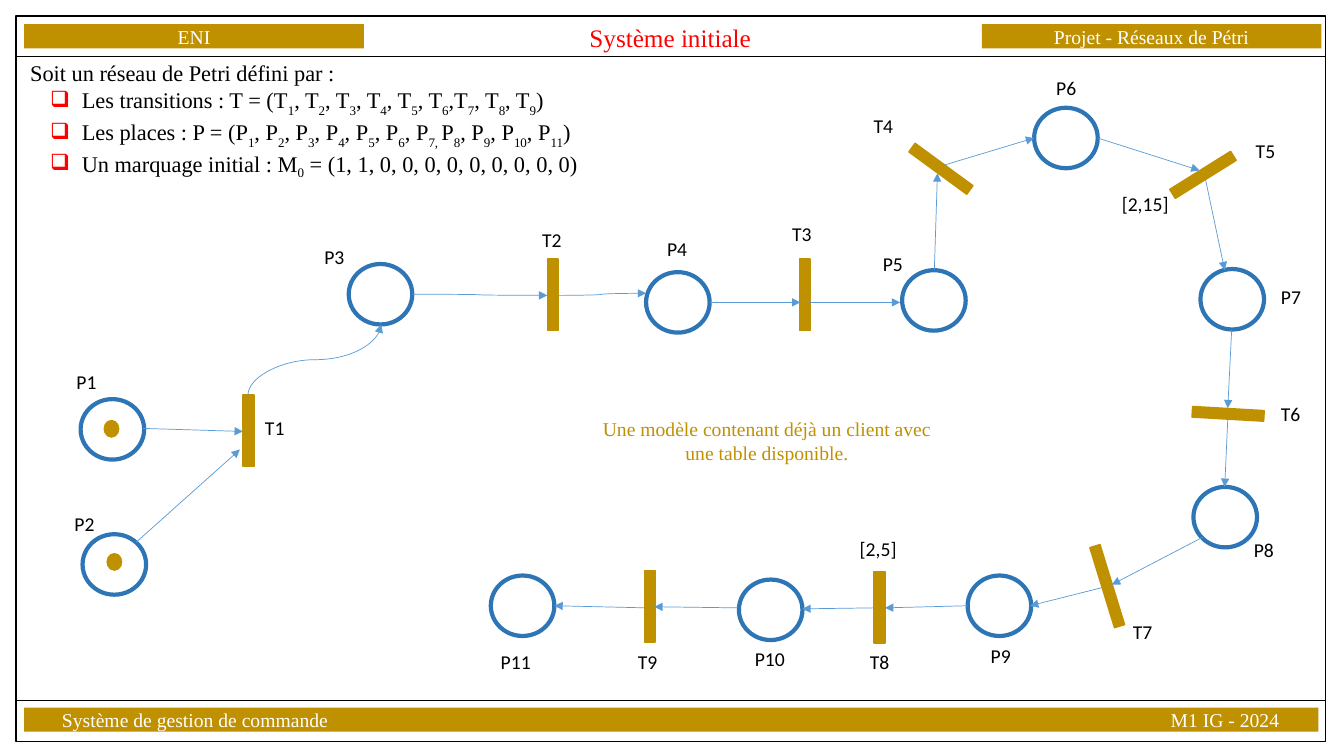
import pptx
import pptx.util
import pptx.dml.color
import pptx.enum.shapes
import pptx.enum.text
import pptx.oxml
import pptx.oxml.ns
from lxml import etree

Pt = pptx.util.Pt
SHAPE = pptx.enum.shapes.MSO_SHAPE
CONNECTOR = pptx.enum.shapes.MSO_CONNECTOR
ALIGN = pptx.enum.text.PP_ALIGN
ANCHOR = pptx.enum.text.MSO_ANCHOR
qn = pptx.oxml.ns.qn

THEME = {
    "gold": "BF9000", "ring": "2E75B6", "arrow": "5B9BD5", "red": "FF0000",
    "black": "000000", "white": "FFFFFF",
    "serif": "Times New Roman", "sans": "Calibri",
    "title": 18, "body": 16, "small": 14,
}

TITLE = "Système initiale"
INTRO = "Soit un réseau de Petri défini par :"
DEFINITIONS = [
    ("Les transitions : T = (T~1~, T~2~, T~3~, T~4~, T~5~, T~6~,T~7~, T~8~, T~9~)", -30000),
    ("Les places : P = (P~1~, P~2~, P~3~, P~4~, P~5~, P~6~, P~7, ~P~8~, P~9~, P~10~, P~11~)", -30000),
    ("Un marquage initial : M~0~ = (1, 1, 0, 0, 0, 0, 0, 0, 0, 0, 0)", -25000),
]
CAPTION = "Une modèle contenant déjà un client avec une table disponible."
HEADERS = [("ENI", 17.3), ("Projet - Réseaux de Pétri", 701.3)]
FOOTER = "Système de gestion de commande\tM1 IG - 2024"

PLACES = {
    "P1": ((57.6, 285.1), (47.5, 260.6)),
    "P2": ((59, 381.6), (46.1, 362.2)),
    "P3": ((249.1, 188.6), (224.6, 171.4)),
    "P4": ((461.5, 194.4), (469.4, 165.6)),
    "P5": ((644.4, 193), (623.5, 176.4)),
    "P6": ((738.7, 77), (747.4, 50.4)),
    "P7": ((857.5, 192.2), (907.9, 200.2)),
    "P8": ((852.5, 347.8), (888.5, 380.9)),
    "P9": ((691.2, 411.1), (700.6, 456.5)),
    "P10": ((527.8, 414), (532.1, 458.6)),
    "P11": ((350.6, 411.1), (350.6, 460.8)),
}
TRANSITIONS = {
    "T1": ((142.6, 291.6), 69.8, 90, (182.2, 293.8)),
    "T2": ((360, 194.4), 69.8, 270, (380.2, 159.1)),
    "T3": ((540, 194.4), 69.8, 270, (558.7, 154.8)),
    "T4": ((637.2, 104.4), 69.8, 36.2, (617, 77.8)),
    "T5": ((824.4, 108.7), 69.8, 328, (889.9, 95.8)),
    "T6": ((842.4, 279.4), 69.8, 3.3, (907.9, 283.7)),
    "T7": ((750.2, 402.5), 81.4, 72.9, (802.1, 439.2)),
    "T8": ((593.3, 417.6), 69.8, 90, (614.2, 460.8)),
    "T9": ((429.1, 416.9), 69.8, 90, (448.6, 460.8)),
}
TOKENS = [(74.2, 300.2), (76.3, 395.3)]
INTERVALS = [("[2,15]", (794.2, 133.9)), ("[2,5]", (607, 380.2))]
STRAIGHT_ARROWS = [
    ((102.2, 306), (173.5, 308.2)),
    ((97.2, 387.4), (171.4, 321.1)),
    ((506.9, 216), (571.7, 216)),
    ((578.2, 216), (643, 216)),
    ((667.4, 193), (669.6, 123.8)),
    ((673.9, 118.1), (738.7, 98.6)),
    ((784.1, 98.6), (856.8, 121.7)),
    ((861.1, 128.2), (874.8, 193)),
    ((879.8, 235.4), (877, 291.6)),
    ((877, 299.5), (874.8, 347.8)),
    ((859, 383.8), (794.2, 417.6)),
    ((787, 419.8), (735.8, 432.7)),
    ((691.2, 432.7), (632.2, 434.2)),
    ((625, 434.2), (573.1, 434.9)),
    ((527, 434.2), (467.3, 433.4)),
    ((461.5, 434.2), (396, 432.7)),
]
CURVED_ARROWS = [((294.5, 210.2), (391, 211)), ((398.2, 211), (461.5, 209.5))]
RISING_ARROW = ((177.1, 282.2), (272.2, 231.8))

deck = pptx.Presentation()
deck.slide_width, deck.slide_height = Pt(960), Pt(540)
page = deck.slides.add_slide(deck.slide_layouts[6])


def color(name):
    return pptx.dml.color.RGBColor.from_string(THEME[name])


def write(para, text, size="small", font="serif", ink="black", align=ALIGN.LEFT, baseline=-30000):
    para.alignment = align
    for index, part in enumerate(text.split("~")):
        span = para.add_run()
        span.text = part
        span.font.size = Pt(THEME[size])
        span.font.name = THEME[font]
        span.font.color.rgb = color(ink)
        if index % 2:
            span.font._element.set("baseline", str(baseline))


def draw(kind, left, top, width, height, fill=None, line=None, weight=1, turn=0):
    shape = page.shapes.add_shape(kind, Pt(left), Pt(top), Pt(width), Pt(height))
    shape.shadow.inherit = False
    shape.rotation = turn
    if fill:
        shape.fill.solid()
        shape.fill.fore_color.rgb = color(fill)
    else:
        shape.fill.background()
    if line:
        shape.line.color.rgb = color(line)
        shape.line.width = Pt(weight)
    else:
        shape.line.fill.background()
    return shape


def text_box(left, top, width, height):
    box = page.shapes.add_textbox(Pt(left), Pt(top), Pt(width), Pt(height))
    box.text_frame.word_wrap = True
    return box.text_frame


def tighten(frame):
    frame.margin_left = frame.margin_right = frame.margin_top = frame.margin_bottom = 0
    frame.vertical_anchor = ANCHOR.MIDDLE


def label(text, spot, width=38.9):
    write(text_box(*spot, width, 24.5).paragraphs[0], text, font="sans")


def connect(start, end, kind=CONNECTOR.STRAIGHT, ink="arrow", head=True):
    link = page.shapes.add_connector(kind, *[Pt(value) for value in (*start, *end)])
    link.line.color.rgb = color(ink)
    link.line.width = Pt(0.5)
    properties = link._element.spPr
    if head:
        etree.SubElement(properties.find(qn("a:ln")), qn("a:tailEnd"), type="triangle")
    etree.SubElement(properties, qn("a:effectLst"))
    return link


def connect_rising(start, end):
    middle_x, middle_y = (start[0] + end[0]) / 2, (start[1] + end[1]) / 2
    half_width, half_height = abs(end[1] - start[1]) / 2, abs(end[0] - start[0]) / 2
    link = connect((middle_x + half_width, middle_y + half_height),
                   (middle_x - half_width, middle_y - half_height), CONNECTOR.CURVE)
    link._element.spPr.find(qn("a:xfrm")).set("rot", str(90 * 60000))


def add_bullet(para):
    properties = para._p.get_or_add_pPr()
    properties.set("marL", str(Pt(36.9)))
    properties.set("indent", str(-Pt(22.5)))
    tint = etree.SubElement(properties, qn("a:buClr"))
    etree.SubElement(tint, qn("a:srgbClr"), val=THEME["red"])
    etree.SubElement(properties, qn("a:buChar"), char="❑")


draw(SHAPE.RECTANGLE, 11.5, 11.5, 935.3, 518.4, line="black")
for rule_y in (40.3, 500.4):
    connect((11.5, rule_y), (946.8, rule_y), ink="black", head=False)

for text, left in HEADERS:
    frame = draw(SHAPE.RECTANGLE, left, 17.3, 242.6, 17.3, fill="gold").text_frame
    tighten(frame)
    write(frame.paragraphs[0], text, ink="white", align=ALIGN.CENTER)

frame = draw(SHAPE.RECTANGLE, 17.3, 505.4, 924.5, 17.3, fill="gold").text_frame
tighten(frame)
frame.margin_left = Pt(27)
write(frame.paragraphs[0], FOOTER, ink="white")
tabs = etree.SubElement(frame.paragraphs[0]._p.get_or_add_pPr(), qn("a:tabLst"))
etree.SubElement(tabs, qn("a:tab"), pos=str(Pt(869.5)), algn="r")

frame = text_box(388.8, 15.8, 180, 22.3)
tighten(frame)
write(frame.paragraphs[0], TITLE, size="title", ink="red", align=ALIGN.CENTER)

frame = text_box(14.4, 43.2, 502.6, 85)
frame.vertical_anchor = ANCHOR.MIDDLE
write(frame.paragraphs[0], INTRO, size="body")
for text, baseline in DEFINITIONS:
    para = frame.add_paragraph()
    write(para, text, size="body", baseline=baseline)
    add_bullet(para)

for name, (spot, label_spot) in PLACES.items():
    draw(SHAPE.OVAL, *spot, 45.4, 43.2, line="ring", weight=3)
    label(name, label_spot)
for name, (spot, width, turn, label_spot) in TRANSITIONS.items():
    draw(SHAPE.MATH_MINUS, *spot, width, 32.4, fill="gold", line="gold", turn=turn)
    label(name, label_spot)
for spot in TOKENS:
    draw(SHAPE.OVAL, *spot, 10.8, 12.2, fill="gold", line="gold", weight=0.5)
for text, spot in INTERVALS:
    label(text, spot, width=49.7)

for start, end in STRAIGHT_ARROWS:
    connect(start, end)
for start, end in CURVED_ARROWS:
    connect(start, end, CONNECTOR.CURVE)
connect_rising(*RISING_ARROW)

write(text_box(419, 294.5, 257.8, 41).paragraphs[0], CAPTION, ink="gold", align=ALIGN.CENTER)

deck.save("out.pptx")
